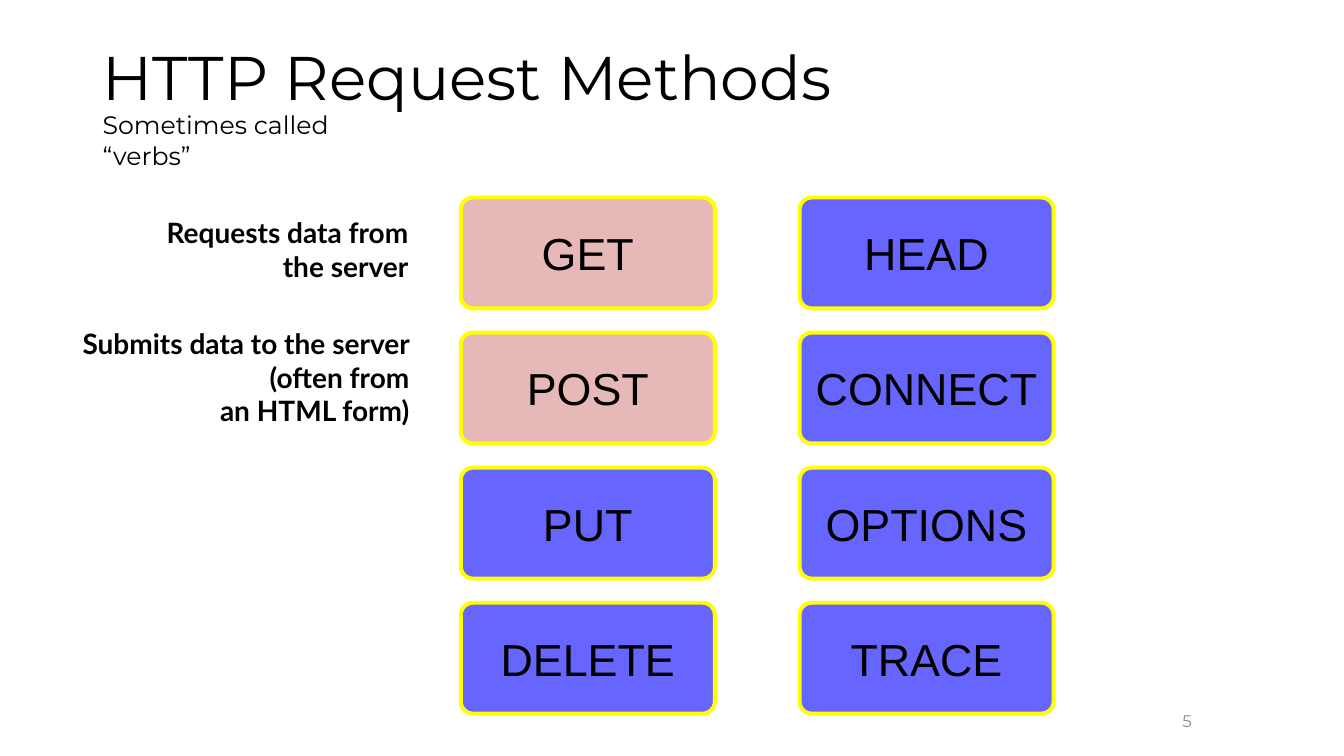
"""Build the HTTP request methods slide."""
import pptx
import pptx.dml.color
import pptx.enum.shapes
import pptx.enum.text
import pptx.util

ALIGN = pptx.enum.text.PP_ALIGN
ANCHOR = pptx.enum.text.MSO_ANCHOR
PINK, BLUE, YELLOW, BLACK, GREY = "E6B9B8", "6666FF", "FFFF00", "000000", "8C8C8C"
METHODS = [
    [("GET", PINK), ("POST", PINK), ("PUT", BLUE), ("DELETE", BLUE)],
    [("HEAD", BLUE), ("CONNECT", BLUE), ("OPTIONS", BLUE), ("TRACE", BLUE)],
]


def px(n):
    """Convert px, 100 to the inch, to EMU."""
    return pptx.util.Emu(n * 9144)


def rgb(color):
    """Turn a hex string into a colour."""
    return pptx.dml.color.RGBColor.from_string(color)


def write(tf, lines, font, size, align=ALIGN.LEFT, anchor=ANCHOR.TOP, color=BLACK, bold=False):
    """Fill a text frame with paragraphs of one style."""
    tf.text = "\n".join(lines)
    tf.word_wrap = True
    tf.auto_size = pptx.enum.text.MSO_AUTO_SIZE.NONE
    tf.vertical_anchor = anchor
    for p in tf.paragraphs:
        p.alignment = align
        p.font.name = font
        p.font.size = pptx.util.Pt(size)
        p.font.bold = bold
        p.font.color.rgb = rgb(color)


def add_title(s, text, x, y, w, h):
    """Place and format the title placeholder."""
    sp = s.shapes.title
    sp.left, sp.top, sp.width, sp.height = px(x), px(y), px(w), px(h)
    write(sp.text_frame, [text], "Montserrat", 44, anchor=ANCHOR.MIDDLE)
    sp.text_frame.paragraphs[0].line_spacing = 0.9


def add_text(s, lines, x, y, w, h, font, size, **style):
    """Add a text box."""
    sp = s.shapes.add_textbox(px(x), px(y), px(w), px(h))
    write(sp.text_frame, lines, font, size, **style)


def add_method(s, name, fill, x, y, w=252, h=110):
    """Add a rounded box holding a method name."""
    kind = pptx.enum.shapes.MSO_SHAPE.ROUNDED_RECTANGLE
    sp = s.shapes.add_shape(kind, px(x), px(y), px(w), px(h))
    sp.adjustments[0] = 0.11
    sp.shadow.inherit = False
    sp.fill.solid()
    sp.fill.fore_color.rgb = rgb(fill)
    sp.line.color.rgb = rgb(YELLOW)
    sp.line.width = pptx.util.Pt(2.83)
    write(sp.text_frame, [name], "Arial", 32, align=ALIGN.CENTER, anchor=ANCHOR.MIDDLE)
    sp.text_frame.word_wrap = False


def main():
    """Build and save the slide."""
    prs = pptx.Presentation()
    prs.slide_width, prs.slide_height = px(1333), px(750)
    s = prs.slides.add_slide(prs.slide_layouts[5])
    add_title(s, "HTTP Request Methods", 92, 40, 1150, 79)
    add_text(s, ["5"], 942, 695, 250, 40, "Montserrat", 12,
             align=ALIGN.RIGHT, anchor=ANCHOR.MIDDLE, color=GREY)
    for col, methods in enumerate(METHODS):
        for row, (name, fill) in enumerate(methods):
            add_method(s, name, fill, 457 + 336 * col, 196 + 134 * row)
    add_text(s, ["Submits data to the server (often from", "an HTML form)"],
             46, 319, 370, 113, "Lato", 20, align=ALIGN.RIGHT, bold=True)
    add_text(s, ["Requests data from the server"],
             133, 209, 282, 78, "Lato", 20, align=ALIGN.RIGHT, bold=True)
    add_text(s, ["Sometimes called “verbs”"], 92, 104, 282, 40, "Montserrat", 18)
    prs.save("out.pptx")


if __name__ == "__main__":
    main()
